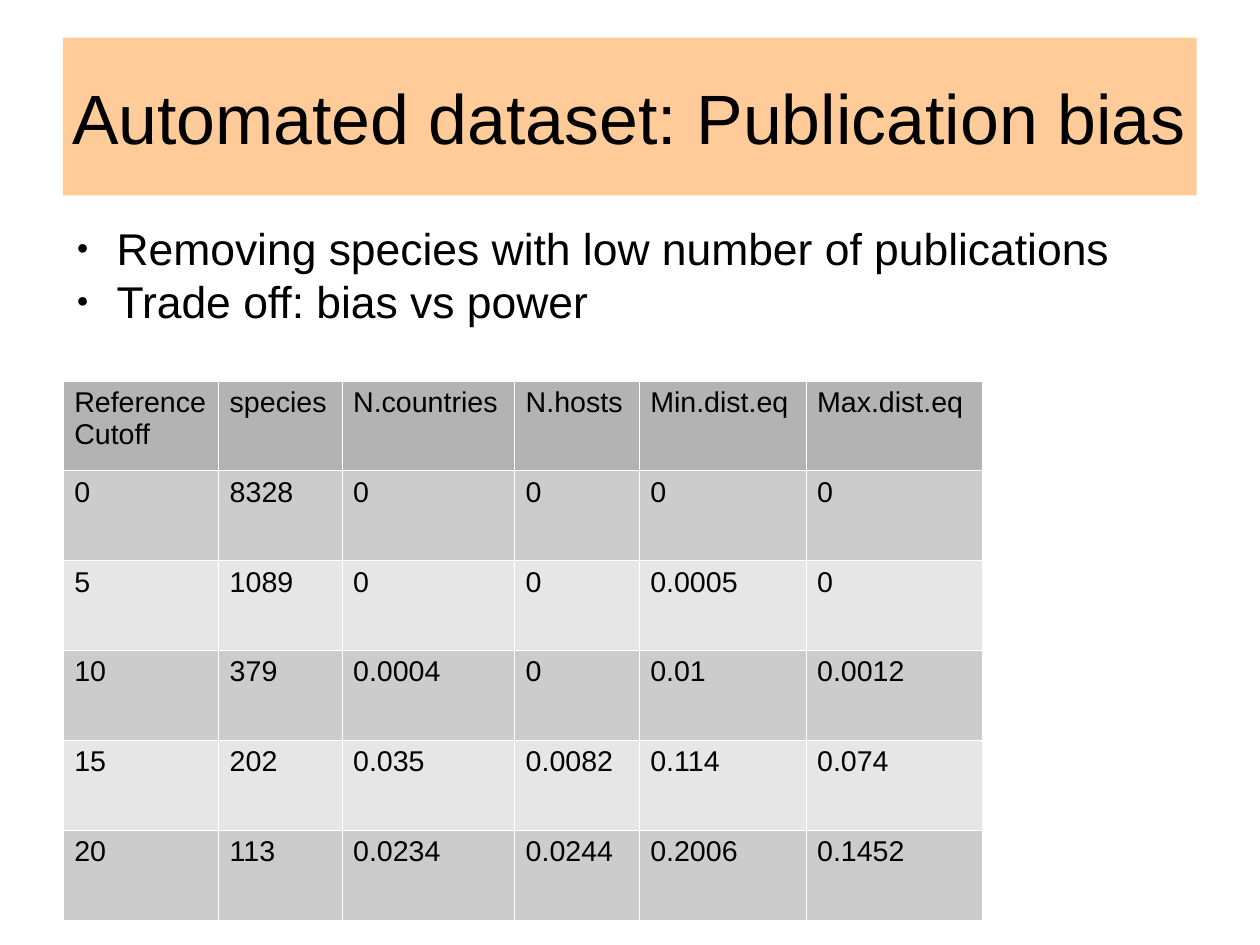
from dataclasses import dataclass

from lxml import etree
from pptx import Presentation
from pptx import util as u
from pptx.dml.color import RGBColor
from pptx.enum import shapes, text
from pptx.oxml import ns

COLORS = {"text": "000000", "banner": "FFCC99", "header": "B3B3B3",
          "odd": "CCCCCC", "even": "E6E6E6", "border": "FFFFFF"}
FONT = "Arial"
CM_PER_INCH = 2.54
LEFT = 0.55
TABLE_HEIGHT = 4.72
BULLETS = ["Removing species with low number of publications",
           "Trade off: bias vs power"]


@dataclass
class Column:
    heading: str
    width: float
    values: list[str]


COLUMNS = [
    Column("Reference Cutoff", 1.36, ["0", "5", "10", "15", "20"]),
    Column("species", 1.08, ["8328", "1089", "379", "202", "113"]),
    Column("N.countries", 1.51, ["0", "0", "0.0004", "0.035", "0.0234"]),
    Column("N.hosts", 1.09, ["0", "0", "0", "0.0082", "0.0244"]),
    Column("Min.dist.eq", 1.46, ["0", "0.0005", "0.01", "0.114", "0.2006"]),
    Column("Max.dist.eq", 1.54, ["0", "0", "0.0012", "0.074", "0.1452"]),
]


def rgb(name: str) -> RGBColor:
    return RGBColor.from_string(COLORS[name])


def add_run(p, words: str, size: float) -> None:
    r = p.add_run()
    r.text = words
    r.font.name = FONT
    r.font.size = u.Pt(size)
    r.font.bold = False
    r.font.color.rgb = rgb("text")


def clear_margins(tf) -> None:
    tf.word_wrap = True
    tf.margin_left = tf.margin_top = tf.margin_right = tf.margin_bottom = 0


def add_bullet(p) -> None:
    pPr = p._p.get_or_add_pPr()
    pPr.set("marL", str(u.Inches(0.47)))
    pPr.set("indent", str(u.Inches(-0.35)))
    color = etree.SubElement(pPr, ns.qn("a:buClr"))
    etree.SubElement(color, ns.qn("a:srgbClr"), val=COLORS["text"])
    etree.SubElement(pPr, ns.qn("a:buSzPct"), val="45000")
    etree.SubElement(pPr, ns.qn("a:buFont"), typeface=FONT)
    etree.SubElement(pPr, ns.qn("a:buChar"), char="●")


def add_borders(cell) -> None:
    tcPr = cell._tc.get_or_add_tcPr()
    for i, side in enumerate(("lnL", "lnR", "lnT", "lnB")):
        ln = etree.Element(ns.qn(f"a:{side}"), w=str(u.Pt(0.06)))
        fill = etree.SubElement(ln, ns.qn("a:solidFill"))
        etree.SubElement(fill, ns.qn("a:srgbClr"), val=COLORS["border"])
        tcPr.insert(i, ln)


def add_points(s) -> None:
    sp = s.shapes.add_textbox(u.Inches(LEFT), u.Inches(1.93),
                              u.Inches(10.52), u.Inches(4.75))
    tf = sp.text_frame
    clear_margins(tf)
    for i, words in enumerate(BULLETS):
        p = tf.add_paragraph() if i else tf.paragraphs[0]
        add_bullet(p)
        add_run(p, words, 28)


def add_title(s) -> None:
    sp = s.shapes.add_shape(shapes.MSO_SHAPE.RECTANGLE, u.Inches(LEFT),
                            u.Inches(0.33), u.Inches(9.92), u.Inches(1.38))
    sp.shadow.inherit = False
    sp.fill.solid()
    sp.fill.fore_color.rgb = rgb("banner")
    sp.line.fill.background()
    tf = sp.text_frame
    clear_margins(tf)
    tf.vertical_anchor = text.MSO_ANCHOR.MIDDLE
    p = tf.paragraphs[0]
    p.alignment = text.PP_ALIGN.CENTER
    add_run(p, "Automated dataset: Publication bias", 44)


def add_results(s) -> None:
    rows = len(COLUMNS[0].values) + 1
    width = sum(column.width for column in COLUMNS)
    table = s.shapes.add_table(rows, len(COLUMNS), u.Inches(LEFT), u.Inches(3.33),
                               u.Inches(width), u.Inches(TABLE_HEIGHT)).table
    for row in table.rows:
        row.height = u.Inches(TABLE_HEIGHT / rows)
    for c, column in enumerate(COLUMNS):
        table.columns[c].width = u.Inches(column.width)
        for r, words in enumerate([column.heading, *column.values]):
            cell = table.cell(r, c)
            cell.fill.solid()
            band = "odd" if r % 2 else "even"
            cell.fill.fore_color.rgb = rgb(band if r else "header")
            add_borders(cell)
            add_run(cell.text_frame.paragraphs[0], words, 18)


def main() -> None:
    prs = Presentation()
    prs.slide_width = u.Inches(28 / CM_PER_INCH)
    prs.slide_height = u.Inches(21 / CM_PER_INCH)
    s = prs.slides.add_slide(prs.slide_layouts[6])
    add_points(s)
    add_title(s)
    add_results(s)
    prs.save("out.pptx")


if __name__ == "__main__":
    main()
